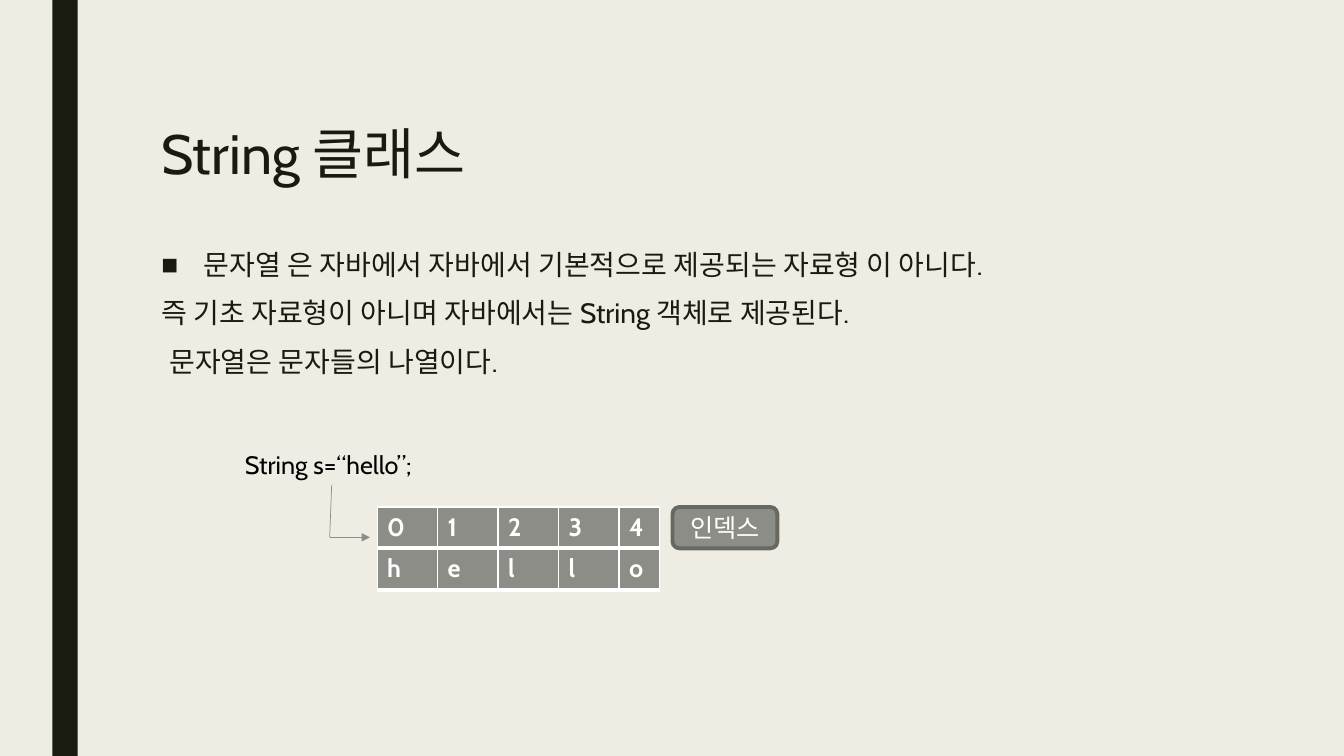
"""Build the slide that introduces the Java String class."""
from lxml import etree
from pptx import Presentation
from pptx import util as u
from pptx.dml.color import RGBColor
from pptx.enum import shapes, text
from pptx.oxml.ns import qn

PX = 9144
COLORS = {"paper": "EFEDE3", "ink": "191B0E", "gray": "8C8D86",
          "edge": "686863", "white": "FFFFFF", "black": "000000"}


def px(*lengths):
    return [u.Emu(length * PX) for length in lengths]


def write(paragraph, words, color, size, **formats):
    run = paragraph.add_run()
    run.text = words
    run.font.color.rgb = RGBColor.from_string(COLORS[color])
    for name, value in {"name": "Cabin", "size": u.Pt(size), **formats}.items():
        setattr(run.font, name, value)


deck = Presentation()
deck.slide_width, deck.slide_height = px(1333, 750)
slide = deck.slides.add_slide(deck.slide_layouts[1])
slide.background.fill.solid()
slide.background.fill.fore_color.rgb = RGBColor.from_string(COLORS["paper"])

stripe = slide.shapes.add_shape(shapes.MSO_SHAPE.RECTANGLE, *px(52, 0, 25, 750))
stripe.shadow.inherit = False
stripe.fill.solid()
stripe.fill.fore_color.rgb = RGBColor.from_string(COLORS["ink"])
stripe.line.fill.background()

title, body = slide.placeholders
for holder, box in ((title, (150, 121, 344, 80)), (body, (150, 243, 1061, 156))):
    holder.left, holder.top, holder.width, holder.height = px(*box)
    frame_format = {"word_wrap": True, "auto_size": text.MSO_AUTO_SIZE.NONE,
                    "vertical_anchor": text.MSO_ANCHOR.TOP}
    for name, value in frame_format.items():
        setattr(holder.text_frame, name, value)

heading = title.text_frame.paragraphs[0]
heading.alignment = text.PP_ALIGN.LEFT
heading.line_spacing = 0.89
write(heading, "String 클래스", "ink", 39.6)

statements = [
    ("문자열 은 자바에서 자바에서 기본적으로 제공되는 자료형 이 아니다.", 42, -42, "■"),
    ("즉 기초 자료형이 아니며 자바에서는 String 객체로 제공된다.", 0, 0, None),
    ("문자열은 문자들의 나열이다.", 8, 0, None),
]
for row, (words, margin, indent, bullet) in enumerate(statements):
    frame = body.text_frame
    statement = frame.add_paragraph() if row else frame.paragraphs[0]
    properties = statement._p.get_or_add_pPr()
    properties.set("marL", str(margin * PX))
    properties.set("indent", str(indent * PX))
    if bullet:
        etree.SubElement(properties, qn("a:buChar"), char=bullet)
    else:
        etree.SubElement(properties, qn("a:buNone"))
    spacing = {"line_spacing": 0.94, "space_before": u.Pt(10 if row else 0),
               "space_after": u.Pt(2)}
    for name, value in spacing.items():
        setattr(statement, name, value)
    write(statement, words, "ink", 20)

for letters, top in (("hello", 544), ("01234", 503)):
    table = slide.shapes.add_table(1, 5, *px(374, top, 280, 41)).table
    for column, letter in enumerate(letters):
        table.columns[column].width = px(40 if column == 4 else 60)[0]
        cell = table.cell(0, column)
        for side, points in {"lnL": 1, "lnR": 1, "lnT": 1, "lnB": 3}.items():
            border = etree.SubElement(cell._tc.get_or_add_tcPr(), qn(f"a:{side}"),
                                      w=str(u.Pt(points)))
            paint = etree.SubElement(border, qn("a:solidFill"))
            etree.SubElement(paint, qn("a:srgbClr"), val=COLORS["white"])
        cell.fill.solid()
        cell.fill.fore_color.rgb = RGBColor.from_string(COLORS["gray"])
        write(cell.text_frame.paragraphs[0], letter, "white", 18, bold=True)

declaration = slide.shapes.add_textbox(*px(233, 441, 193, 40)).text_frame
declaration.word_wrap = True
declaration.auto_size = text.MSO_AUTO_SIZE.SHAPE_TO_FIT_TEXT
write(declaration.paragraphs[0], "String s=“hello”;", "black", 18)

for ends in ((329, 481, 327, 533), (327, 533, 367, 533)):
    pointer = slide.shapes.add_connector(shapes.MSO_CONNECTOR.STRAIGHT, *px(*ends))
    pointer.line.color.rgb = RGBColor.from_string(COLORS["gray"])
    pointer.line.width = u.Pt(0.5)
    etree.SubElement(pointer._element.spPr, qn("a:effectLst"))
etree.SubElement(pointer.line._get_or_add_ln(), qn("a:tailEnd"), type="triangle")

index = slide.shapes.add_shape(shapes.MSO_SHAPE.ROUNDED_RECTANGLE, *px(667, 503, 104, 41))
index.shadow.inherit = False
index.fill.solid()
index.fill.fore_color.rgb = RGBColor.from_string(COLORS["gray"])
index.line.color.rgb = RGBColor.from_string(COLORS["edge"])
index.line.width = u.Pt(2.75)
index.text_frame.vertical_anchor = text.MSO_ANCHOR.MIDDLE
index.text_frame.paragraphs[0].alignment = text.PP_ALIGN.CENTER
write(index.text_frame.paragraphs[0], "인덱스", "white", 18)

deck.save("out.pptx")
